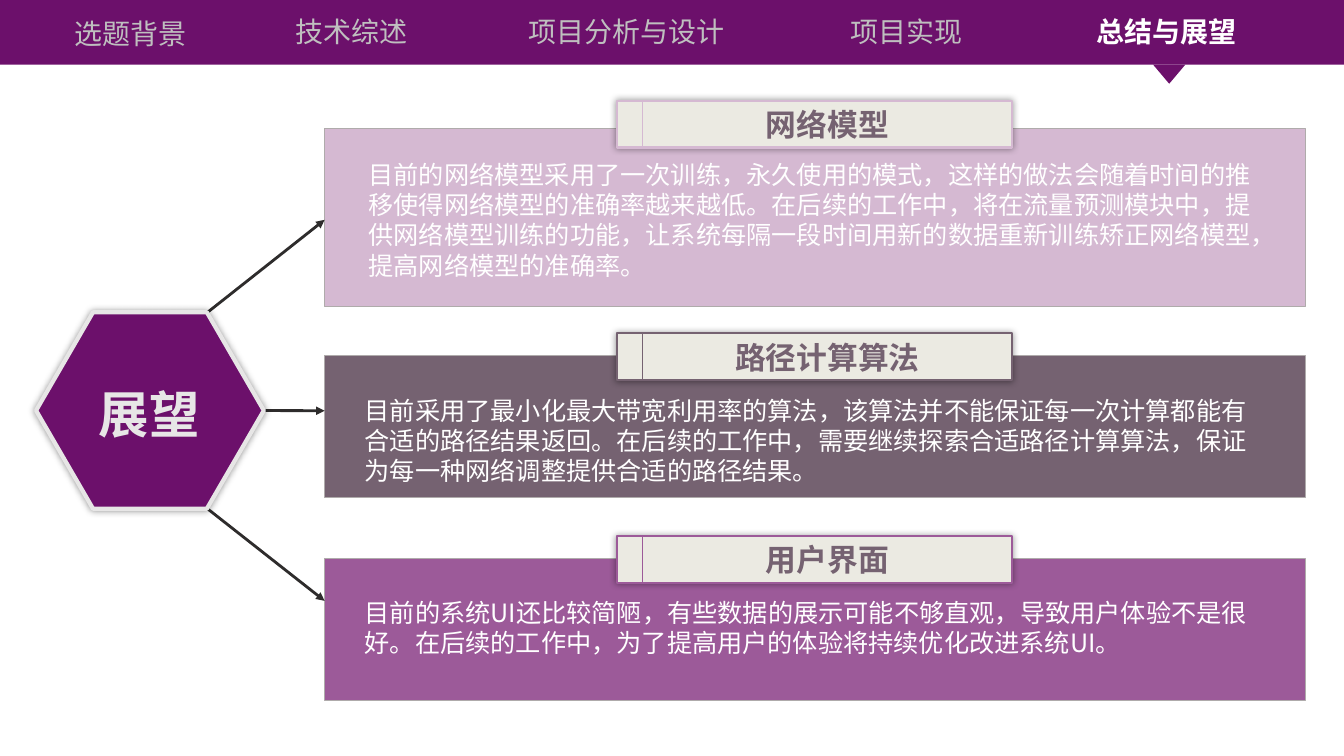
from dataclasses import dataclass

from lxml import etree
from pptx import Presentation
from pptx.dml.color import RGBColor
from pptx.enum.shapes import MSO_CONNECTOR, MSO_SHAPE
from pptx.enum.text import MSO_ANCHOR, MSO_AUTO_SIZE, PP_ALIGN
from pptx.oxml.ns import qn
from pptx.util import Cm, Pt

RECTANGLE = MSO_SHAPE.RECTANGLE
TRIANGLE = MSO_SHAPE.ISOSCELES_TRIANGLE
HEXAGON = MSO_SHAPE.HEXAGON
STRAIGHT = MSO_CONNECTOR.STRAIGHT
TOP = MSO_ANCHOR.TOP
MIDDLE = MSO_ANCHOR.MIDDLE
LEFT = PP_ALIGN.LEFT
CENTER = PP_ALIGN.CENTER
NO_RESIZE = MSO_AUTO_SIZE.NONE

TITLE_ONLY = 5
CHINESE_FONT = "Noto Sans CJK SC"
HEADING_FONT = "Arial"
PURPLE = "6C106B"
PINK = "D5B9D2"
TAUPE = "756271"
MAUVE = "9C5A99"
CREAM = "EBEAE2"
PALE_GREY = "E7E6E6"
NAV_GREY = "BFBFBF"
BORDER_GREY = "AFABAB"
ARROW_GREY = "2E2C2C"
WHITE = "FFFFFF"
BLACK = "000000"


@dataclass
class Box:
    left: float
    top: float
    width: float
    height: float

    def inner(self, left, top, width, height):
        return Box(self.left + left, self.top + top, width, height)

    def lengths(self):
        return Cm(self.left), Cm(self.top), Cm(self.width), Cm(self.height)


def color(hex_text):
    return RGBColor.from_string(hex_text)


def add_glow_shadow(shape):
    effects = shape._element.spPr.find(qn("a:effectLst"))
    shadow = etree.SubElement(effects, qn("a:outerShdw"), blurRad=str(Pt(5)),
                              dist="0", dir="0", algn="ctr", rotWithShape="0")
    shade = etree.SubElement(shadow, qn("a:srgbClr"), val=BLACK)
    etree.SubElement(shade, qn("a:alpha"), val="40000")


def add_block(slide, kind, box, fill=None, line=None, line_width=0, shadow=False):
    shape = slide.shapes.add_shape(kind, *box.lengths())
    shape.shadow.inherit = False
    if fill:
        shape.fill.solid()
        shape.fill.fore_color.rgb = color(fill)
    else:
        shape.fill.background()
    if line:
        shape.line.color.rgb = color(line)
        shape.line.width = Pt(line_width)
    else:
        shape.line.fill.background()
    if shadow:
        add_glow_shadow(shape)
    return shape


def write_text(shape, text, size, text_color, font=CHINESE_FONT, bold=False,
               align=LEFT, anchor=TOP):
    frame = shape.text_frame
    frame.word_wrap = True
    frame.auto_size = NO_RESIZE
    frame.vertical_anchor = anchor
    para = frame.paragraphs[0]
    para.alignment = align
    span = para.add_run()
    span.text = text
    span.font.name = font
    span.font.size = Pt(size)
    span.font.bold = bold
    span.font.color.rgb = color(text_color)
    east_asian = etree.SubElement(span.font._element, qn("a:ea"))
    east_asian.set("typeface", CHINESE_FONT)


def add_label(slide, box, text, size, text_color, bold=False):
    label = slide.shapes.add_textbox(*box.lengths())
    write_text(label, text, size, text_color, bold=bold)


def add_navigation(slide, box, entries, current):
    add_block(slide, RECTANGLE, box, PURPLE)
    marker = add_block(slide, TRIANGLE, box.inner(29.06, box.height, 0.81, 0.48), PURPLE)
    marker.rotation = 180
    for text, left, top in entries:
        active = text == current
        add_label(slide, box.inner(left, top, 6.4, 1.12), text, 20,
                  WHITE if active else NAV_GREY, active)


def add_panel(slide, box, fill, text, text_left, text_top):
    add_block(slide, RECTANGLE, box, fill, BORDER_GREY)
    text_box = box.inner(text_left, text_top, 22.98, box.height - text_top)
    add_label(slide, text_box, text, 18, WHITE)


def add_tag(slide, box, heading, line):
    add_block(slide, RECTANGLE, box, CREAM, line, 1.5, shadow=True)
    face = add_block(slide, RECTANGLE, box.inner(0.66, 0, box.width - 0.66, box.height),
                     line=line, line_width=0.75)
    write_text(face, heading, 22, TAUPE, HEADING_FONT, True, CENTER, MIDDLE)


def add_arrow(slide, start, end):
    arrow = slide.shapes.add_connector(STRAIGHT, *map(Cm, start + end))
    arrow.line.color.rgb = color(ARROW_GREY)
    arrow.line.width = Pt(0)
    etree.SubElement(arrow.line._get_or_add_ln(), qn("a:tailEnd"), type="triangle")
    etree.SubElement(arrow._element.spPr, qn("a:effectLst"))


def add_hub(slide, box, text):
    hexagon = add_block(slide, HEXAGON, box, PURPLE, PALE_GREY, 3, shadow=True)
    hexagon.adjustments[0] = 0.29
    title = slide.shapes.title
    title.left, title.top, title.width, title.height = box.inner(0.76, 1.65, 4.17, 1.8).lengths()
    write_text(title, text, 36, PALE_GREY, HEADING_FONT, True, CENTER, MIDDLE)
    hexagon._element.addnext(title._element)


def add_outlook(slide, hub_box, topics):
    panel_left = 8.18
    shoulder = hub_box.left + 4.32
    middle = hub_box.top + hub_box.height / 2
    starts = [(shoulder, hub_box.top),
              (hub_box.left + hub_box.width, middle),
              (shoulder, hub_box.top + hub_box.height)]
    for start, topic in zip(starts, topics):
        heading, fill, top, height, tag_top, text_left, text_top, arrow_end, text = topic
        add_panel(slide, Box(panel_left, top, 24.71, height), fill, text, text_left, text_top)
        add_tag(slide, Box(15.54, tag_top, 9.96, 1.18), heading, fill)
        add_arrow(slide, start, (panel_left, arrow_end))
    add_hub(slide, hub_box, "展望")


def main():
    deck = Presentation()
    deck.slide_width = Cm(33.87)
    deck.slide_height = Cm(19.05)
    slide = deck.slides.add_slide(deck.slide_layouts[TITLE_ONLY])
    entries = [("选题背景", 1.63, 0.28), ("技术综述", 7.19, 0.23),
               ("项目分析与设计", 13.06, 0.23), ("项目实现", 21.18, 0.25),
               ("总结与展望", 27.38, 0.25)]
    add_navigation(slide, Box(0, 0, 33.87, 1.63), entries, "总结与展望")
    topics = [
        ("网络模型", PINK, 3.23, 4.5, 2.54, 0.86, 0.66, 5.54,
         "目前的网络模型采用了一次训练，永久使用的模式，这样的做法会随着时间的推移使得网络模型的准确率越来越低。"
         "在后续的工作中，将在流量预测模块中，提供网络模型训练的功能，"
         "让系统每隔一段时间用新的数据重新训练矫正网络模型，提高网络模型的准确率。"),
        ("路径计算算法", TAUPE, 8.97, 3.58, 8.4, 0.76, 0.86, 10.35,
         "目前采用了最小化最大带宽利用率的算法，该算法并不能保证每一次计算都能有合适的路径结果返回。"
         "在后续的工作中，需要继续探索合适路径计算算法，保证为每一种网络调整提供合适的路径结果。"),
        ("用户界面", MAUVE, 14.07, 3.58, 13.51, 0.76, 0.86, 15.14,
         "目前的系统UI还比较简陋，有些数据的展示可能不够直观，导致用户体验不是很好。"
         "在后续的工作中，为了提高用户的体验将持续优化改进系统UI。"),
    ]
    add_outlook(slide, Box(0.91, 7.87, 5.74, 4.95), topics)
    deck.save("out.pptx")


if __name__ == "__main__":
    main()
